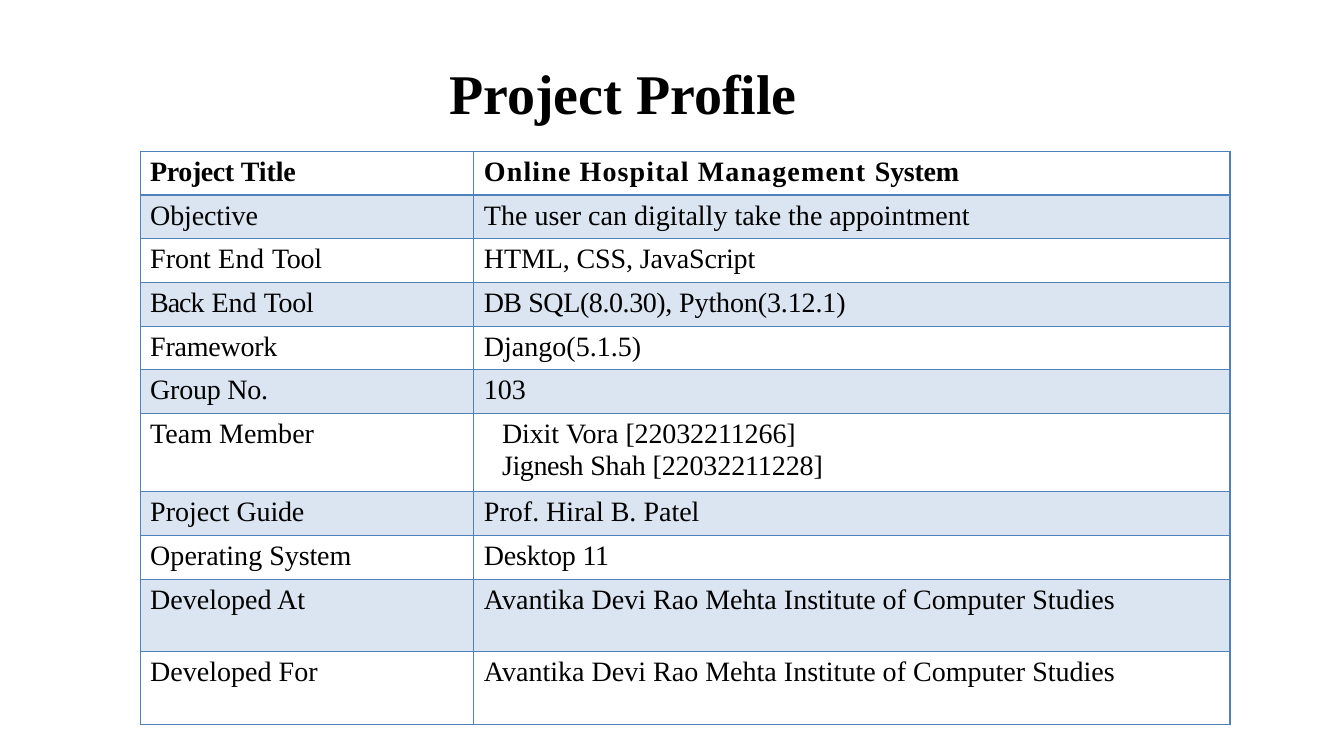
from lxml import etree
from pptx import Presentation
from pptx.dml.color import RGBColor
from pptx.enum.text import MSO_ANCHOR, PP_ALIGN
from pptx.oxml.ns import qn
from pptx.util import Inches, Pt

CENTER, LEFT = PP_ALIGN.CENTER, PP_ALIGN.LEFT
MIDDLE = MSO_ANCHOR.MIDDLE
BLUE = "4F81BD"
THIN, THICK = 0.96, 1.98
SINGLE_ROW, NAMES_ROW, TALL_ROW = 0.43, 0.77, 0.72

PROFILE = [
    (SINGLE_ROW, [("Project ", -0.3), ("Title", -0.1)],
     [("Online Hospital Management ", 0.8), ("System", -0.2)]),
    (SINGLE_ROW, [("Objective", -0.1)], [("The user can digitally take the appointment", 0)]),
    (SINGLE_ROW, [("Front ", 0), ("End ", 0.3), ("Tool", -0.2)], [("HTML, CSS, JavaScript", -0.1)]),
    (SINGLE_ROW, [("Back", -0.8), (" End ", 0), ("Tool", -0.2)],
     [("DB ", -0.6), ("SQL(8.0.30),", -0.3), (" Python(3.12.1)", -0.1)]),
    (SINGLE_ROW, [("Framework", -0.2)], [("Django(5.1.5)", 0)]),
    (SINGLE_ROW, [("Group No.", -0.2)], [("103", 0)]),
    (NAMES_ROW, [("Team Member", 0)],
     [("Dixit ", -0.1), ("Vora ", 0), ("[22032211266]", -0.1)],
     [("Jignesh ", -0.3), ("Shah [22032211228]", -0.1)]),
    (SINGLE_ROW, [("Project ", 0), ("Guide", -0.2)], [("Prof. Hiral B. Patel", 0)]),
    (SINGLE_ROW, [("Operating ", 0), ("System", -0.1)], [("Desktop ", -0.2), ("11", -0.3)]),
    (TALL_ROW, [("Developed At", 0)], [("Avantika Devi Rao Mehta Institute of Computer Studies", 0)]),
    (TALL_ROW, [("Developed For", 0)], [("Avantika Devi Rao Mehta Institute of Computer Studies", 0)]),
]


def color(hex_code):
    return RGBColor.from_string(hex_code)


def write(paragraph, pieces, size=20, bold=False, align=LEFT, before=0, indent=0):
    paragraph.alignment = align
    paragraph.space_before = Pt(before)
    if indent:
        paragraph._p.get_or_add_pPr().set("marL", str(Inches(indent)))
    for words, spacing in pieces:
        run = paragraph.add_run()
        run.text = words
        run.font.name = "Times New Roman"
        run.font.size = Pt(size)
        run.font.bold = bold
        run.font.color.rgb = color("000000")
        run._r.get_or_add_rPr().set("spc", str(round(spacing * 100)))


deck = Presentation()
deck.slide_width, deck.slide_height = Inches(13.33), Inches(7.5)
slide = deck.slides.add_slide(deck.slide_layouts[6])

heading = slide.shapes.add_textbox(Inches(4.17), Inches(0.67), Inches(4.02), Inches(0.49)).text_frame
heading.word_wrap = True
heading.vertical_anchor = MIDDLE
write(heading.paragraphs[0], [("Project Profile", 0)], size=40, bold=True, align=CENTER)

label_width, value_width = Inches(3.31), Inches(7.5)
profile_height = Inches(sum(entry[0] for entry in PROFILE))
profile = slide.shapes.add_table(len(PROFILE), 2, Inches(1.39), Inches(1.5),
                                 label_width + value_width, profile_height).table
profile.first_row = profile.horz_banding = False
profile.columns[0].width, profile.columns[1].width = label_width, value_width

for row, (height, label, *values) in enumerate(PROFILE):
    profile.rows[row].height = Inches(height)
    for column, lines in enumerate(([label], values)):
        cell = profile.cell(row, column)
        listed = len(lines) > 1
        for number, pieces in enumerate(lines):
            paragraph = cell.text_frame.add_paragraph() if number else cell.text_frame.paragraphs[0]
            before = (2.6, 0.5)[number] if listed else 0
            write(paragraph, pieces, bold=row == 0, before=before, indent=0.18 if listed else 0)

        properties = cell._tc.get_or_add_tcPr()
        widths = {"lnL": THIN, "lnR": THIN,
                  "lnT": THICK if row == 1 else THIN, "lnB": THICK if row == 0 else THIN}
        for side, width in widths.items():
            border = etree.SubElement(properties, qn("a:" + side), w=str(Pt(width)))
            stroke = etree.SubElement(border, qn("a:solidFill"))
            etree.SubElement(stroke, qn("a:srgbClr"), val=BLUE)

        if row % 2:
            cell.fill.solid()
            cell.fill.fore_color.rgb = color(BLUE)
            tint = properties.find(qn("a:solidFill")).find(qn("a:srgbClr"))
            etree.SubElement(tint, qn("a:alpha"), val="20000")
        else:
            cell.fill.background()

deck.save("out.pptx")
